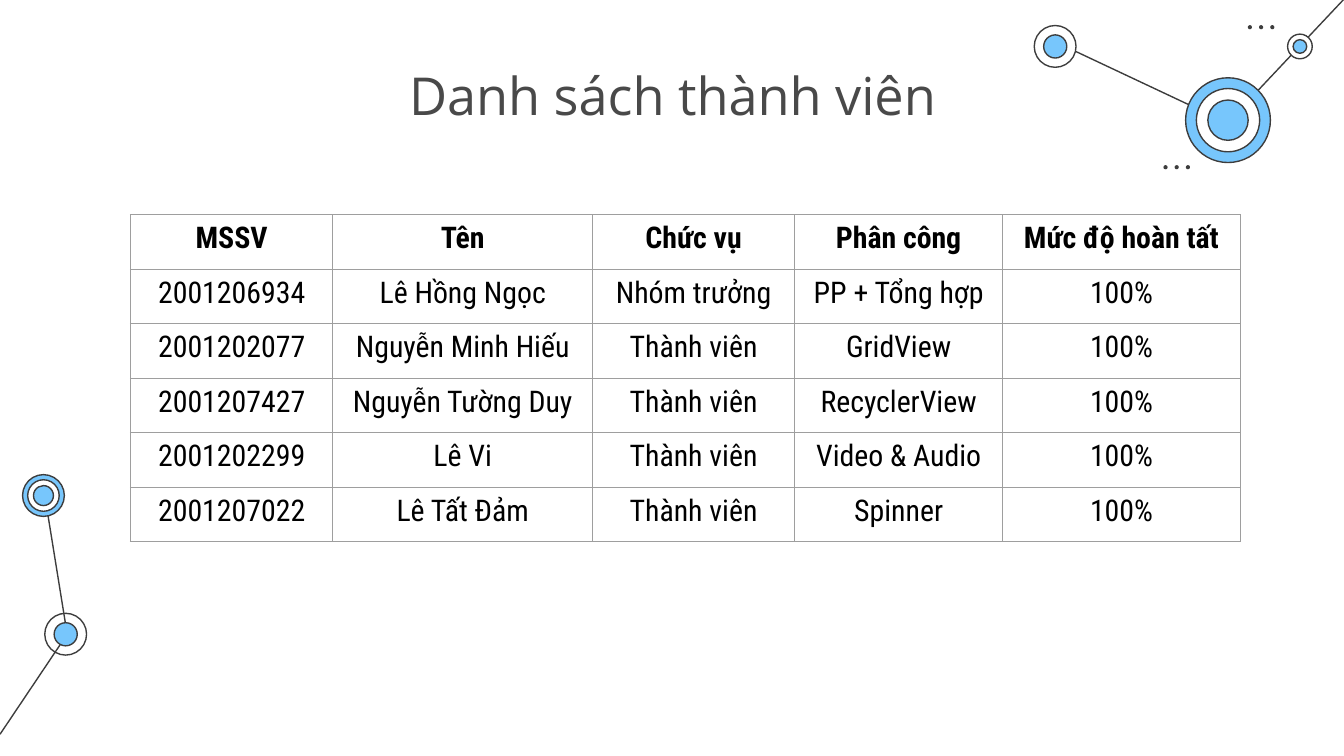
from lxml.etree import SubElement
from pptx import Presentation
from pptx.dml.color import RGBColor
from pptx.enum.shapes import MSO_CONNECTOR as CONN, MSO_SHAPE as SHAPE
from pptx.enum.text import MSO_ANCHOR as ANCHOR, PP_ALIGN as ALIGN
from pptx.oxml.ns import qn
from pptx.util import Pt

DARK = RGBColor(0x3D, 0x3D, 0x3D)
BLUE = RGBColor(0x77, 0xC6, 0xFC)
WHITE = RGBColor(0xFF, 0xFF, 0xFF)
BLACK = RGBColor(0, 0, 0)
TITLE = RGBColor(0x49, 0x49, 0x49)
GRID = RGBColor(0x9E, 0x9E, 0x9E)


class Deck:
    title_font = "Open Sans"
    body_font = "Roboto Condensed"
    stroke = 0.75

    def __init__(self, width, height):
        self.prs = Presentation()
        self.prs.slide_width, self.prs.slide_height = Pt(width), Pt(height)
        self.s = self.prs.slides.add_slide(self.prs.slide_layouts[6])
        self.s.background.fill.solid()
        self.s.background.fill.fore_color.rgb = WHITE

    def line(self, x1, y1, x2, y2):
        c = self.s.shapes.add_connector(CONN.STRAIGHT, Pt(x1), Pt(y1), Pt(x2), Pt(y2))
        c.line.color.rgb = DARK
        c.line.width = Pt(self.stroke)
        SubElement(c._element.spPr, qn("a:effectLst"))

    def circle(self, cx, cy, d, fill=None, outline=True):
        sp = self.s.shapes.add_shape(SHAPE.OVAL, Pt(cx - d / 2), Pt(cy - d / 2), Pt(d), Pt(d))
        sp.shadow.inherit = False
        if fill is None:
            sp.fill.background()
        else:
            sp.fill.solid()
            sp.fill.fore_color.rgb = fill
        if outline:
            sp.line.color.rgb = DARK
            sp.line.width = Pt(self.stroke)
        else:
            sp.line.fill.background()

    def node(self, cx, cy, rings):
        for d, fill in rings:
            self.circle(cx, cy, d, fill)

    def dots(self, cx, cy):
        for i in (-1, 0, 1):
            self.circle(cx + i * 6, cy, 2.2, DARK, outline=False)

    def add_text(self, tf, text, font, size, color, bold=False):
        p = tf.paragraphs[0]
        p.alignment = ALIGN.CENTER
        r = p.add_run()
        r.text = text
        r.font.name, r.font.size, r.font.bold = font, Pt(size), bold
        r.font.color.rgb = color

    def title(self, text, x, y, w, h):
        tf = self.s.shapes.add_textbox(Pt(x), Pt(y), Pt(w), Pt(h)).text_frame
        tf.word_wrap = True
        tf.vertical_anchor = ANCHOR.TOP
        tf.margin_left = tf.margin_right = tf.margin_top = tf.margin_bottom = Pt(7.2)
        self.add_text(tf, text, self.title_font, 28, TITLE)

    def border(self, cell):
        tcPr = cell._tc.get_or_add_tcPr()
        for i, side in enumerate(("lnL", "lnR", "lnT", "lnB")):
            ln = SubElement(tcPr, qn(f"a:{side}"), w=str(Pt(self.stroke)))
            SubElement(SubElement(ln, qn("a:solidFill")), qn("a:srgbClr"), val=str(GRID))
            tcPr.insert(i, ln)

    def table(self, rows, x, y, widths, row_height):
        frame = self.s.shapes.add_table(len(rows), len(widths), Pt(x), Pt(y),
                                        Pt(sum(widths)), Pt(row_height * len(rows)))
        table = frame.table
        table.first_row = table.horz_banding = False
        for column, width in zip(table.columns, widths):
            column.width = Pt(width)
        for i, row in enumerate(rows):
            table.rows[i].height = Pt(row_height)
            for j, text in enumerate(row):
                cell = table.cell(i, j)
                cell.fill.background()
                self.border(cell)
                self.add_text(cell.text_frame, text, self.body_font, 16, BLACK, bold=i == 0)


deck = Deck(720, 405)

for ends in ((36, 339.8, 23.8, 264.2), (0, 393.4, 35.2, 341),
             (657.9, 66, 566.6, 23), (720, -0.5, 657.9, 65.5)):
    deck.line(*ends)

deck.node(35.2, 339.8, [(22.4, None), (12.4, BLUE)])
deck.node(23.3, 265.5, [(22.4, BLUE), (16.9, WHITE), (10.7, BLUE)])
deck.node(657.9, 64.4, [(45.4, BLUE), (33.9, WHITE), (21.6, BLUE)])
deck.node(565.3, 24.9, [(22.4, WHITE), (12.4, BLUE)])
deck.node(696.4, 24.9, [(13.2, WHITE), (7.3, BLUE)])
deck.dots(675.6, 14.6)
deck.dots(630.4, 89.6)

deck.title("Danh sách thành viên", 199.4, 26.6, 321.8, 45.4)

MEMBER, DONE = "Thành viên", "100%"
members = [
    ("2001206934", "Lê Hồng Ngọc", "Nhóm trưởng", "PP + Tổng hợp"),
    ("2001202077", "Nguyễn Minh Hiếu", MEMBER, "GridView"),
    ("2001207427", "Nguyễn Tường Duy", MEMBER, "RecyclerView"),
    ("2001202299", "Lê Vi", MEMBER, "Video & Audio"),
    ("2001207022", "Lê Tất Đảm", MEMBER, "Spinner"),
]
header = ("MSSV", "Tên", "Chức vụ", "Phân công", "Mức độ hoàn tất")
deck.table([header] + [m + (DONE,) for m in members],
           69.9, 115, (108.4, 139.2, 108.2, 111.5, 127.3), 29.2)

deck.prs.save("out.pptx")
